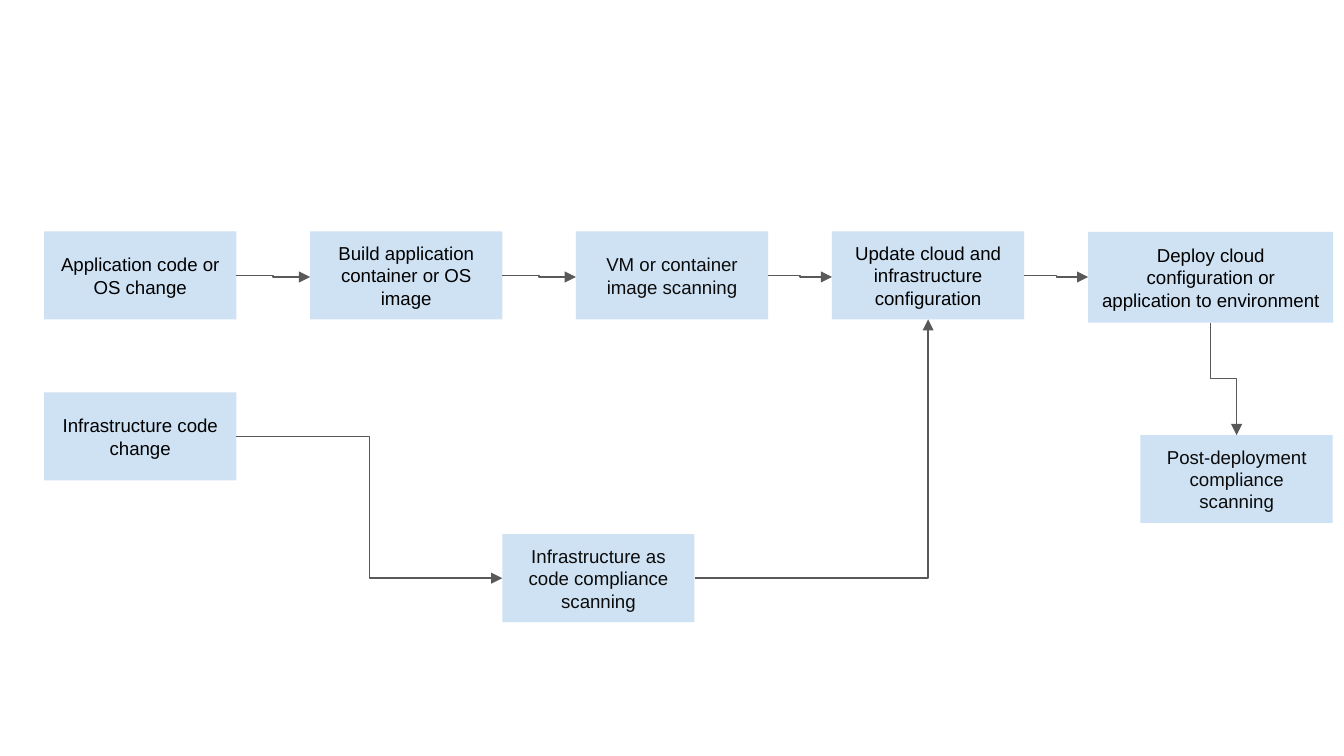
from pptx import Presentation
from pptx.dml.color import RGBColor
from pptx.enum.shapes import MSO_CONNECTOR, MSO_SHAPE
from pptx.enum.text import MSO_ANCHOR, PP_ALIGN
from pptx.oxml.ns import qn
from pptx.util import Pt
from lxml.etree import SubElement

PALE_BLUE = RGBColor(0xCF, 0xE2, 0xF3)
GREY = RGBColor(0x59, 0x59, 0x59)
BLACK = RGBColor(0x00, 0x00, 0x00)
NEAR_BLACK = RGBColor(0x0B, 0x0B, 0x0B)

STEP_WIDTH, STEP_HEIGHT = 103, 47.1
ROW_TOP = 124
ENTRY_DROP = 0.9  # arrows in the top row enter slightly below the middle


def add_step(slide, text, left, top, color=BLACK, width=STEP_WIDTH, height=STEP_HEIGHT):
    step = slide.shapes.add_shape(
        MSO_SHAPE.RECTANGLE, Pt(left), Pt(top), Pt(width), Pt(height))
    step.shadow.inherit = False
    step.fill.solid()
    step.fill.fore_color.rgb = PALE_BLUE
    step.line.fill.background()

    frame = step.text_frame
    frame.word_wrap = True
    frame.vertical_anchor = MSO_ANCHOR.MIDDLE
    frame.margin_left = frame.margin_right = Pt(7.2)
    frame.margin_top = frame.margin_bottom = Pt(7.2)
    paragraph = frame.paragraphs[0]
    paragraph.alignment = PP_ALIGN.CENTER
    run = paragraph.add_run()
    run.text = text
    run.font.name = "Arial"
    run.font.size = Pt(10)
    run.font.color.rgb = color
    return step


def middle_left(step):
    return step.left, step.top + step.height // 2


def middle_right(step):
    return step.left + step.width, step.top + step.height // 2


def top_center(step):
    return step.left + step.width // 2, step.top


def bottom_center(step):
    return step.left + step.width // 2, step.top + step.height


def add_arrow(slide, start, end):
    """Elbow arrow that leaves and arrives horizontally."""
    arrow = slide.shapes.add_connector(MSO_CONNECTOR.ELBOW, *start, *end)
    arrow.line.color.rgb = GREY
    arrow.line.width = Pt(0.75)
    SubElement(arrow.line._get_or_add_ln(), qn("a:tailEnd"), type="triangle")
    SubElement(arrow._element.spPr, qn("a:effectLst"))
    return arrow


def add_downward_arrow(slide, start, end):
    """Elbow arrow that leaves and arrives vertically: a flipped one turned by 270°."""
    (x1, y1), (x2, y2) = start, end
    center_x, center_y = (x1 + x2) // 2, (y1 + y2) // 2
    half_run, half_rise = (y2 - y1) // 2, (x2 - x1) // 2
    arrow = add_arrow(slide, (center_x + half_run, center_y - half_rise),
                      (center_x - half_run, center_y + half_rise))
    arrow._element.spPr.find(qn("a:xfrm")).set("rot", str(270 * 60000))


def add_corner_arrow(slide, start, end):
    """Arrow with one bend, leaving horizontally and arriving vertically."""
    arrow = add_arrow(slide, start, end)
    arrow._element.spPr.find(qn("a:prstGeom")).set("prst", "bentConnector2")


def main():
    presentation = Presentation()
    presentation.slide_width, presentation.slide_height = Pt(720), Pt(405)
    slide = presentation.slides.add_slide(presentation.slide_layouts[6])

    app_change = add_step(slide, "Application code or OS change", 23.6, ROW_TOP)
    build = add_step(slide, "Build application container or OS image", 166.1, ROW_TOP)
    image_scan = add_step(
        slide, "VM or container image scanning", 308.5, ROW_TOP, NEAR_BLACK)
    update = add_step(
        slide, "Update cloud and infrastructure configuration", 445.7, ROW_TOP)
    deploy = add_step(
        slide, "Deploy cloud configuration or application to environment",
        583, ROW_TOP + 0.2, width=131.2, height=48.6)
    infra_change = add_step(slide, "Infrastructure code change", 23.6, 210.3)
    code_scan = add_step(
        slide, "Infrastructure as code compliance scanning", 269.1, 286.2, NEAR_BLACK)
    post_scan = add_step(
        slide, "Post-deployment compliance scanning", 611, 233.1, NEAR_BLACK)

    pipeline = [app_change, build, image_scan, update, deploy]
    for source, target in zip(pipeline, pipeline[1:]):
        start_x, start_y = middle_right(source)
        add_arrow(slide, (start_x, start_y), (target.left, start_y + Pt(ENTRY_DROP)))
    add_arrow(slide, middle_right(infra_change), middle_left(code_scan))
    add_corner_arrow(slide, middle_right(code_scan), bottom_center(update))
    add_downward_arrow(slide, bottom_center(deploy), top_center(post_scan))

    presentation.save("out.pptx")


if __name__ == "__main__":
    main()
